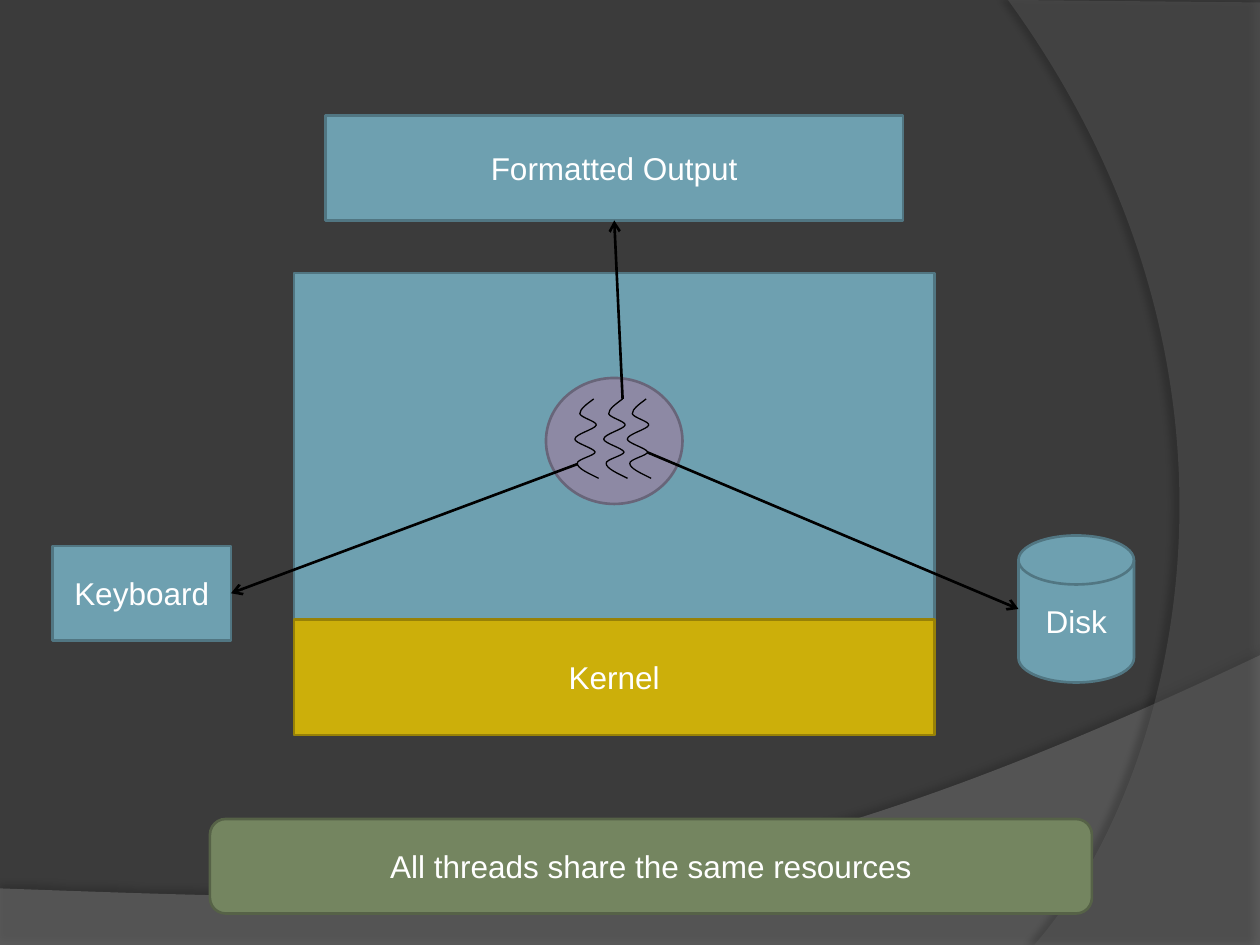
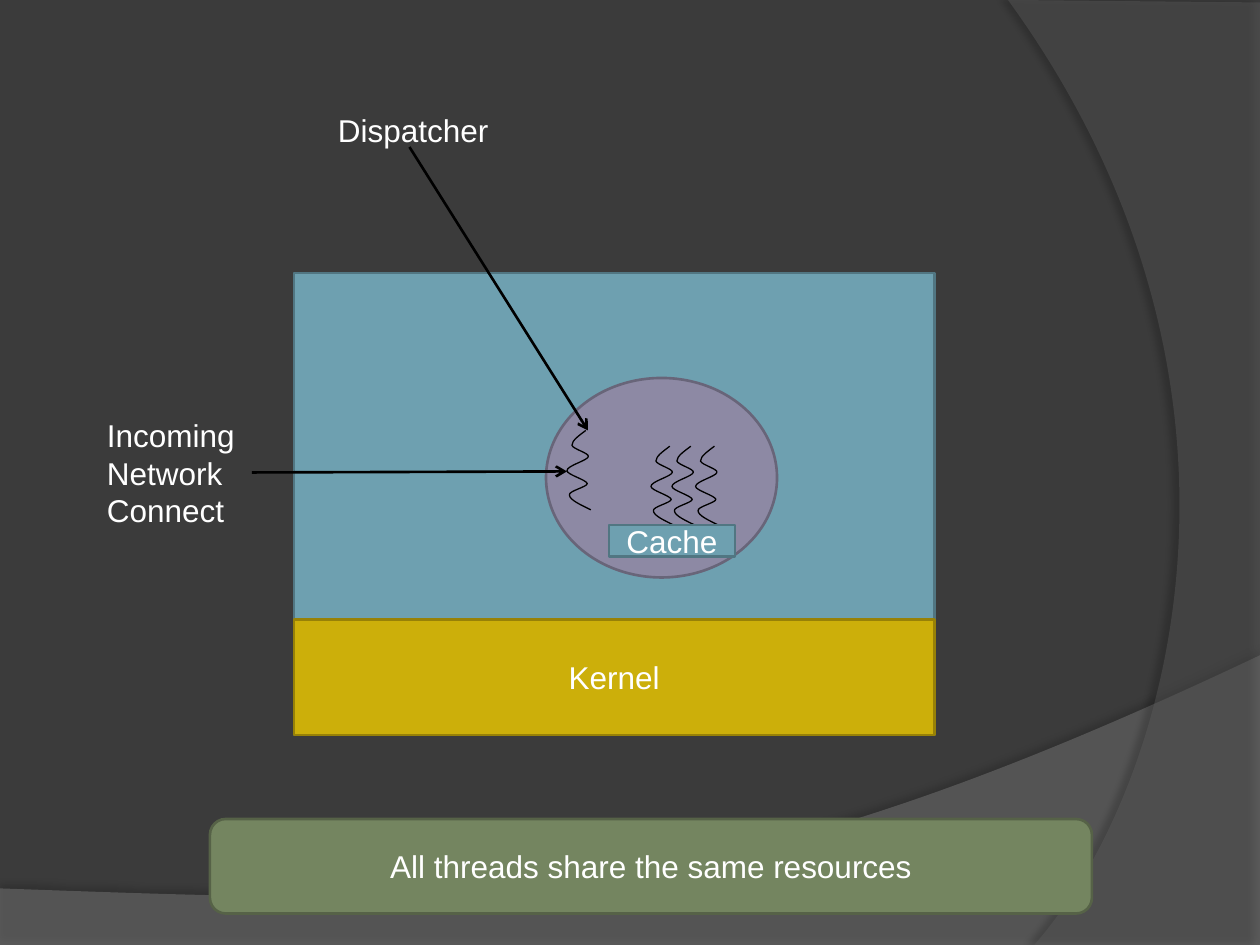
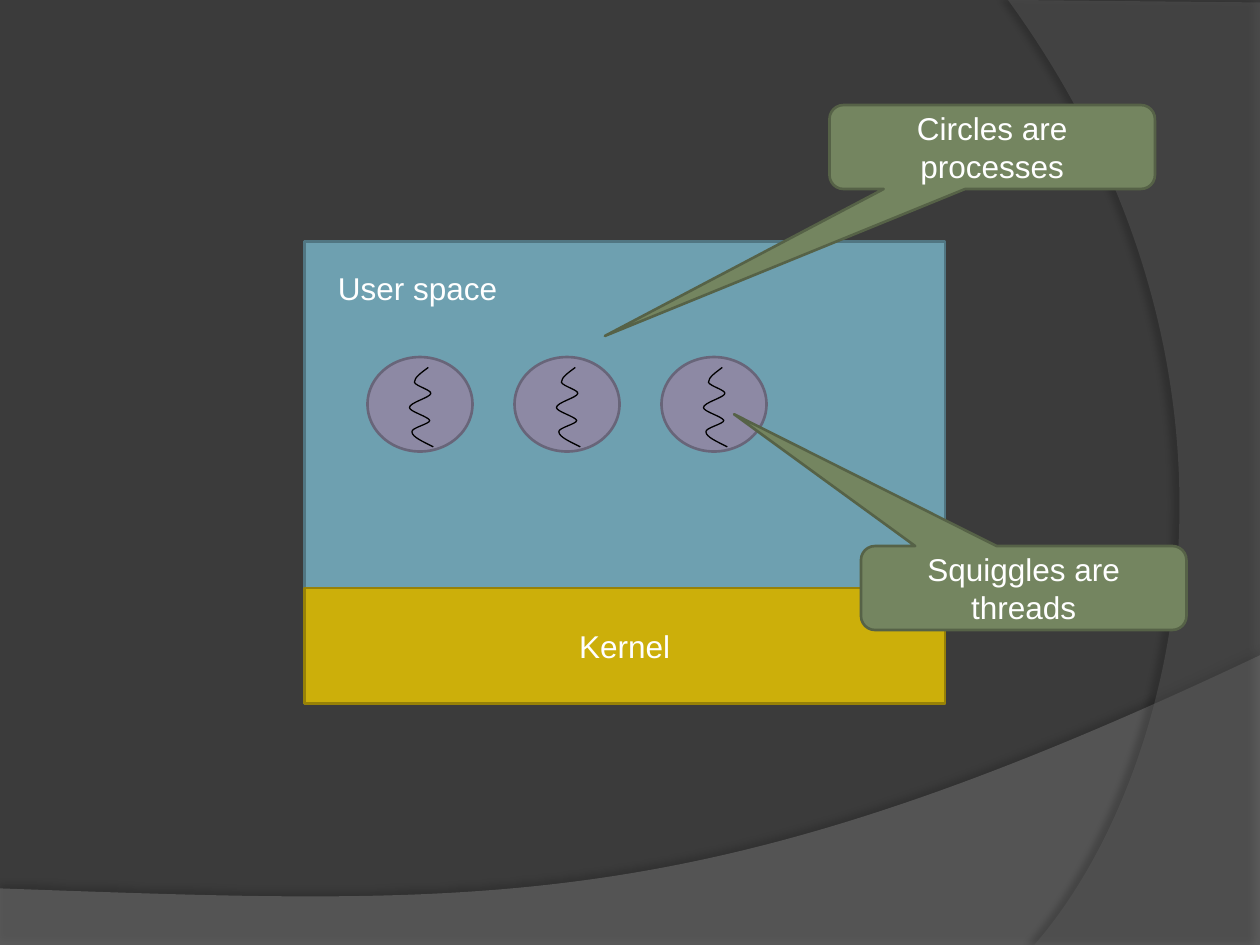
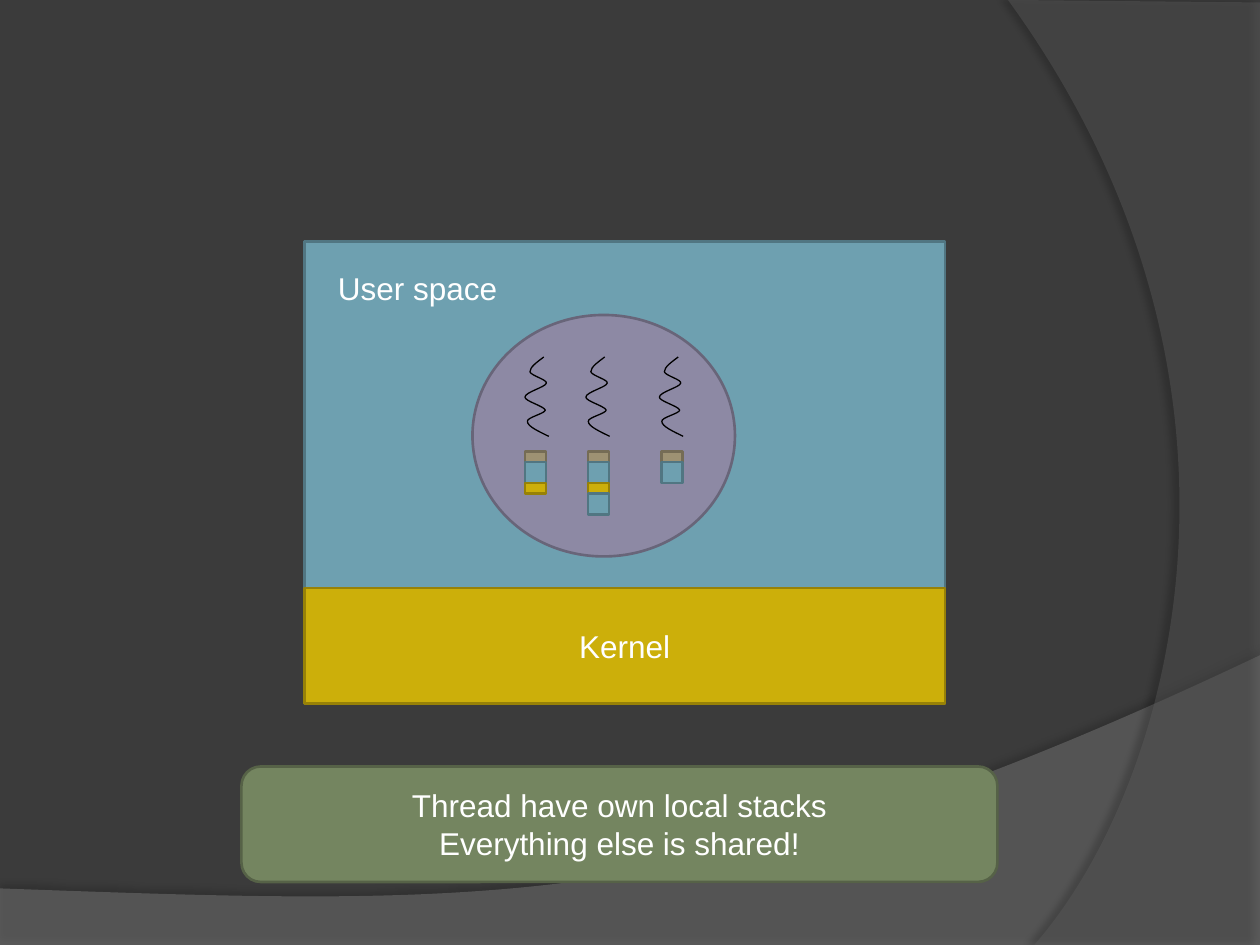
from lxml import etree
from pptx import Presentation
from pptx.dml.color import RGBColor
from pptx.enum import shapes, text
from pptx.oxml.ns import qn
from pptx.util import Cm, Pt

# Colours
DARK = RGBColor(0x3B, 0x3B, 0x3B)
SWOOSH_GREY = RGBColor(0x7F, 0x7F, 0x7F)
ARC_GREY = RGBColor(0x5E, 0x5E, 0x5E)
BLACK = RGBColor(0x00, 0x00, 0x00)
WHITE = RGBColor(0xFF, 0xFF, 0xFF)

# Pairs of fill and line
BLUE = RGBColor(0x6E, 0xA0, 0xB0), RGBColor(0x51, 0x76, 0x82)
PURPLE = RGBColor(0x8D, 0x89, 0xA4), RGBColor(0x68, 0x65, 0x79)
GOLD = RGBColor(0xCC, 0xAF, 0x0A), RGBColor(0x97, 0x81, 0x07)
GREEN = RGBColor(0x74, 0x85, 0x60), RGBColor(0x56, 0x62, 0x47)
TAN = RGBColor(0x9E, 0x92, 0x73), RGBColor(0x75, 0x6C, 0x55)

KIND = shapes.MSO_SHAPE
WIDTH, HEIGHT = 25.4, 19.05
CELL = WIDTH / 120  # the slide is a grid of 120 by 90 cells

# Outlines in cm: a start, then steps of one point (line) or three (curve)
SWOOSH = (0, 17.91), [
    [(0, HEIGHT)], [(WIDTH, HEIGHT)], [(WIDTH, 13.21)],
    [(14.2, 18.52), (9.93, 18.26), (0, 17.91)],
]
ARC = (WIDTH, 0.05), [
    [(WIDTH, HEIGHT)], [(20.85, HEIGHT)],
    [(22.3, 17.39), (23.55, 14.53), (23.75, 11.13)],
    [(23.95, 7.74), (23.09, 3.81), (20.32, 0)],
]
SQUIGGLE = (0.38, 0), [
    [(0.25, 0.1), (0.1, 0.2), (0.1, 0.3)],
    [(0.13, 0.38), (0.46, 0.46), (0.43, 0.53)],
    [(0.41, 0.61), (0, 0.71), (0, 0.81)],
    [(0, 0.89), (0.38, 0.99), (0.41, 1.07)],
    [(0.41, 1.14), (0.03, 1.22), (0.05, 1.3)],
    [(0.05, 1.4), (0.28, 1.5), (0.48, 1.6)],
]


def cells(*counts):
    return [Cm(count * CELL) for count in counts]


class Deck:
    font, size = "Arial", Pt(18)
    stroke, thin = Pt(1.5), Pt(0.75)

    def __init__(self):
        self.show = Presentation()
        self.show.slide_width, self.show.slide_height = Cm(WIDTH), Cm(HEIGHT)
        self.page = None

    def add_page(self):
        self.page = self.show.slides.add_slide(self.show.slide_layouts[6])

    def set_words(self, frame, words, align):
        frame.word_wrap = True
        frame.text = words
        for para in frame.paragraphs:
            para.alignment = align
            para.font.name, para.font.size = self.font, self.size
            para.font.color.rgb = WHITE

    def box(self, kind, place, paint, words=""):
        box = self.page.shapes.add_shape(kind, *cells(*place))
        box.shadow.inherit = False
        box.fill.solid()
        box.fill.fore_color.rgb, box.line.color.rgb = paint
        box.line.width = self.stroke
        if words:
            self.set_words(box.text_frame, words, text.PP_ALIGN.CENTER)
        return box

    def label(self, place, words):
        box = self.page.shapes.add_textbox(*cells(*place))
        self.set_words(box.text_frame, words, text.PP_ALIGN.LEFT)
        box.text_frame.auto_size = text.MSO_AUTO_SIZE.SHAPE_TO_FIT_TEXT

    def callout(self, place, tip, words):
        box = self.box(KIND.ROUNDED_RECTANGULAR_CALLOUT, place, GREEN, words)
        box.adjustments[0], box.adjustments[1] = tip

    def arrow(self, start, end, target=None, side=None):
        arrow = self.page.shapes.add_connector(
            shapes.MSO_CONNECTOR.STRAIGHT, *cells(*start, *end))
        if target is not None:
            arrow.end_connect(target, side)
        arrow.line.color.rgb, arrow.line.width = BLACK, self.stroke
        properties = arrow.element.spPr
        etree.SubElement(properties.find(qn("a:ln")), qn("a:tailEnd"), type="arrow")
        etree.SubElement(properties, qn("a:effectLst"))

    def outline(self, drawing, left=0, top=0, close=False):
        start, steps = drawing

        def emu(point):
            return Cm(left * CELL + point[0]), Cm(top * CELL + point[1])

        builder = self.page.shapes.build_freeform(*emu(start))
        builder.add_line_segments([emu(p) for step in steps for p in step], close=close)
        shape = builder.convert_to_shape()
        shape.shadow.inherit = False
        # Merge each three segments of a curve into one Bézier segment
        route = shape.element.find(".//" + qn("a:path"))
        segments = iter(route.findall(qn("a:lnTo")))
        for step in steps:
            segment = next(segments)
            if len(step) == 3:
                segment.tag = qn("a:cubicBezTo")
                for _ in range(2):
                    extra = next(segments)
                    segment.append(extra[0])
                    route.remove(extra)
        return shape

    def thread(self, left, top):
        squiggle = self.outline(SQUIGGLE, left, top)
        squiggle.fill.background()
        squiggle.line.color.rgb, squiggle.line.width = BLACK, self.thin

    def band(self, drawing, colour, alpha, shade_alpha, distance, degrees):
        band = self.outline(drawing, close=True)
        band.line.fill.background()
        band.fill.solid()
        band.fill.fore_color.rgb = colour
        properties = band.element.spPr
        tint = properties.find(qn("a:solidFill"))[0]
        etree.SubElement(tint, qn("a:alpha"), val=str(alpha * 1000))
        shadow = etree.SubElement(
            properties.find(qn("a:effectLst")), qn("a:outerShdw"),
            blurRad=str(Pt(4)), dist=str(Pt(distance)),
            dir=str(degrees * 60000), algn="ctr", rotWithShape="0")
        shade = etree.SubElement(shadow, qn("a:srgbClr"), val=str(BLACK))
        etree.SubElement(shade, qn("a:alpha"), val=str(shade_alpha * 1000))
        return band

    def backdrop(self):
        """Draw the bands on the current page and move them to the master."""
        master = self.show.slide_master
        master.background.fill.solid()
        master.background.fill.fore_color.rgb = DARK
        bands = [self.band(SWOOSH, SWOOSH_GREY, 45, 35, 3.5, 270),
                 self.band(ARC, ARC_GREY, 40, 45, 4, 180)]
        for index, band in enumerate(bands, start=2):
            band.element.nvSpPr.cNvPr.set("id", str(100 + index))
            master.shapes.element.insert(index, band.element)

    def system(self, left, top, *processes):
        self.box(KIND.RECTANGLE, (left, top, 61, 44), BLUE)
        for place in processes:
            self.box(KIND.OVAL, place, PURPLE)
        self.box(KIND.RECTANGLE, (left, top + 33, 61, 11), GOLD, "Kernel")

    def user_space(self, *processes):
        self.system(29, 23, *processes)
        self.label((31, 25, 25, 4.8), "User space")

    def note(self, place, words):
        self.box(KIND.ROUNDED_RECTANGLE, place, GREEN, words)

    def shared_note(self):
        self.note((20, 78, 84, 9), "All threads share the same resources")

    def stack(self, left, top, count):
        for paint, height in [(TAN, 1), (BLUE, 2), (GOLD, 1), (BLUE, 2)][:count]:
            self.box(KIND.RECTANGLE, (left, top, 2, height), paint)
            top += height


def main():
    deck = Deck()

    # Threads of one process using several devices
    deck.add_page()
    deck.backdrop()
    deck.system(28, 26, (52, 36, 13, 12))
    for left in (54.75, 57.5, 59.75):
        deck.thread(left, 38)
    deck.box(KIND.FLOWCHART_MAGNETIC_DISK, (97, 51, 11, 14), BLUE, "Disk")
    output = deck.box(KIND.RECTANGLE, (31, 11, 55, 10), BLUE, "Formatted Output")
    keyboard = deck.box(KIND.RECTANGLE, (5, 52, 17, 9), BLUE, "Keyboard")
    deck.arrow((61.7, 43.1), (97, 58))
    deck.arrow((59.3, 38), (58.5, 21), output, 2)
    deck.arrow((55, 44.2), (22, 56.5), keyboard, 3)
    deck.shared_note()

    # Dispatcher and worker threads
    deck.add_page()
    deck.system(28, 26, (52, 36, 22, 19))
    deck.thread(54, 41)
    for left in (62, 64, 66.25):
        deck.thread(left, 42.5)
    deck.shared_note()
    deck.arrow((24, 45), (54, 44.9))
    deck.label((9, 39, 21, 12.1), "Incoming Network Connect")
    deck.box(KIND.RECTANGLE, (58, 50, 12, 3), BLUE, "Cache")
    deck.arrow((39, 14), (56, 41))
    deck.label((31, 10, 27, 4.8), "Dispatcher")

    # Processes with one thread each
    deck.add_page()
    lefts = range(35, 64, 14)
    deck.user_space(*[(left, 34, 10, 9) for left in lefts])
    for left in lefts:
        deck.thread(left + 4, 35)
    deck.callout((79, 10, 31, 8), (-1.19, 2.25), "Circles are processes")
    deck.callout((82, 52, 31, 8), (-0.89, -2.07), "Squiggles are threads")

    # Threads with their own stacks
    deck.add_page()
    deck.user_space((45, 30, 25, 23))
    for thread_left, stack_left, count in [(50, 50, 3), (55.8, 56, 4), (62.8, 63, 2)]:
        deck.thread(thread_left, 34)
        deck.stack(stack_left, 43, count)
    deck.note((23, 73, 72, 11), "Thread have own local stacks\nEverything else is shared!")

    deck.show.save("out.pptx")


if __name__ == "__main__":
    main()
